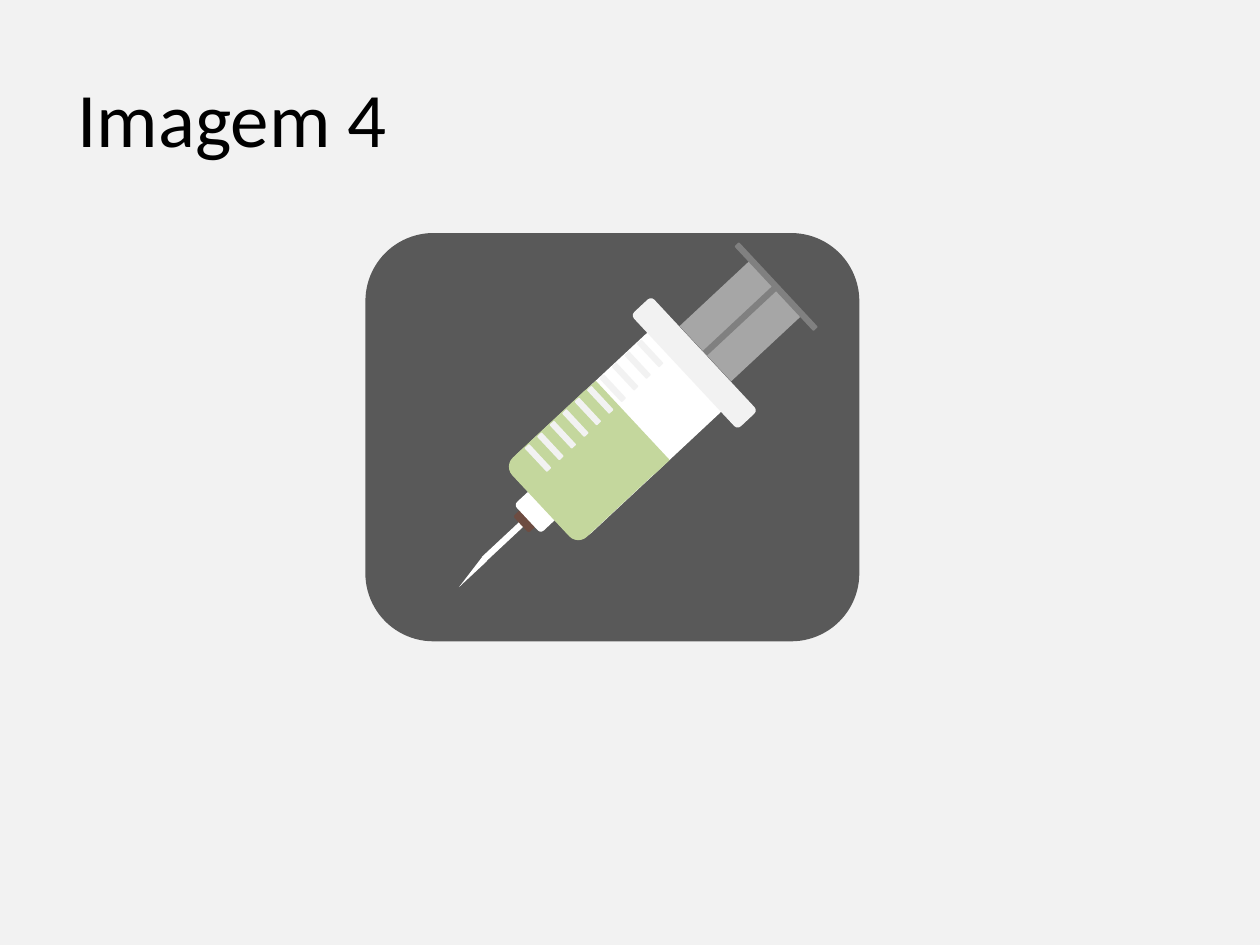
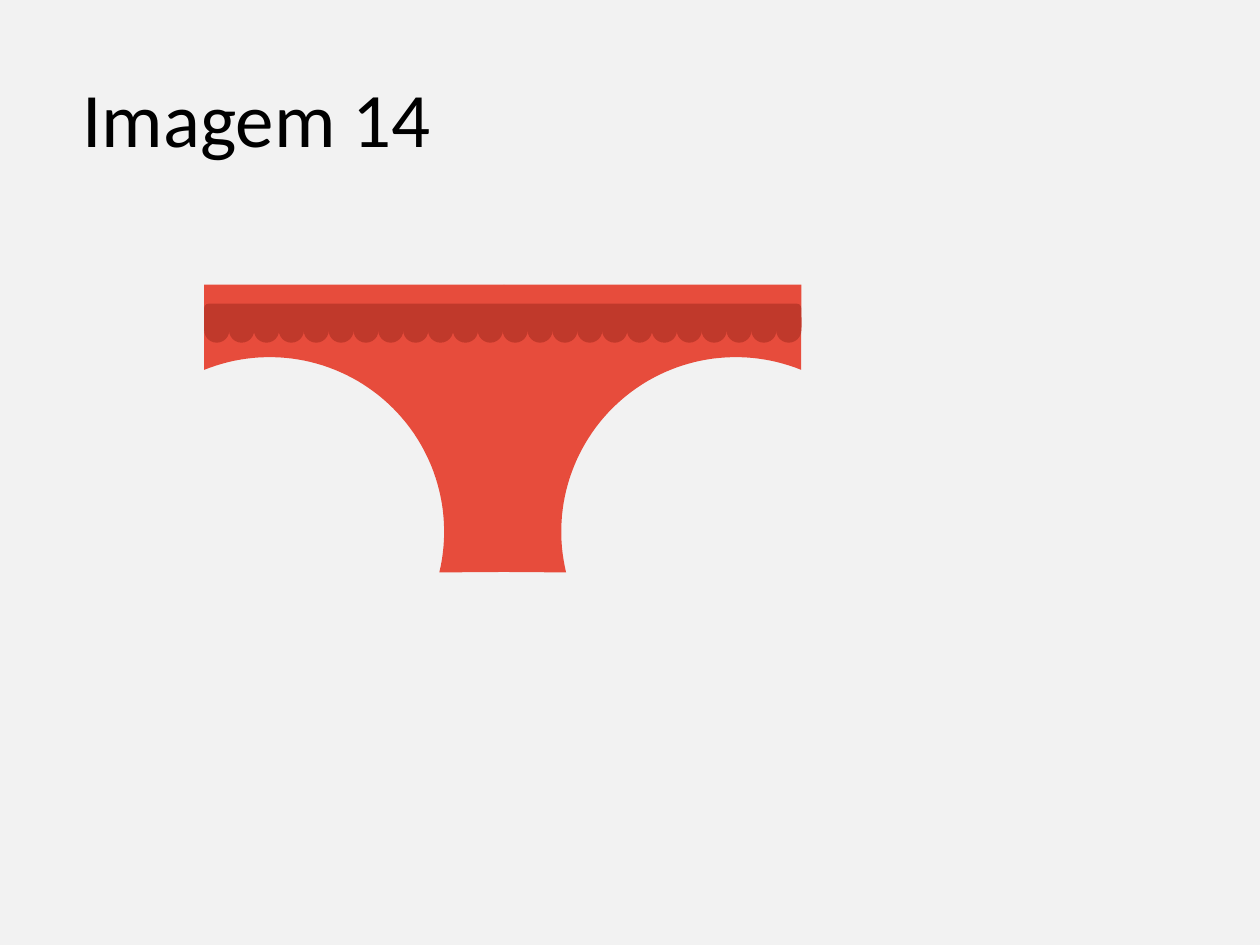
"""Build two picture slides, a syringe and a pair of briefs, from native shapes."""
from math import cos, radians, sin

from pptx import Presentation
from pptx.dml.color import RGBColor
from pptx.enum.shapes import MSO_SHAPE
from pptx.enum.text import MSO_ANCHOR, PP_ALIGN
from pptx.util import Inches, Pt

RECT = MSO_SHAPE.RECTANGLE
ROUND = MSO_SHAPE.ROUNDED_RECTANGLE
TRIANGLE = MSO_SHAPE.RIGHT_TRIANGLE
SCALLOP = MSO_SHAPE.FLOWCHART_DELAY
MIDDLE = MSO_ANCHOR.MIDDLE
CENTER = PP_ALIGN.CENTER

COLORS = {
    "paper": "F2F2F2", "ink": "000000", "panel": "595959", "white": "FFFFFF",
    "brown": "6D4C41", "liquid": "C4D79D", "plunger": "A6A6A6",
    "steel": "808080", "fabric": "E74C3C", "lace": "C0392B",
}
TILT = 47


def color(name):
    return RGBColor.from_string(COLORS[name])


def write(frame, text, *, size=44, font="Calibri", ink="ink", align=CENTER, anchor=MIDDLE):
    frame.word_wrap = True
    frame.vertical_anchor = anchor
    paragraph = frame.paragraphs[0]
    paragraph.alignment = align
    run = paragraph.add_run()
    run.text = text
    run.font.size = Pt(size)
    run.font.name = font
    run.font.color.rgb = color(ink)


class Deck:
    def __init__(self):
        self.show = Presentation()
        self.show.slide_width = Inches(10)
        self.show.slide_height = Inches(7.5)

    def start_slide(self, title, title_width):
        self.slide = self.show.slides.add_slide(self.show.slide_layouts[6])
        background = self.slide.background.fill
        background.solid()
        background.fore_color.rgb = color("paper")
        heading = self.slide.shapes.add_textbox(
            Inches(0.5), Inches(0.3), Inches(title_width), Inches(1.25))
        write(heading.text_frame, title)
        self.drawing = self.slide.shapes.add_group_shape().shapes

    def paint(self, part, fill):
        part.shadow.inherit = False
        part.fill.solid()
        part.fill.fore_color.rgb = color(fill)
        part.line.fill.background()

    def shape(self, kind, left, top, width, height, fill, turn=0, roundness=None):
        part = self.drawing.add_shape(
            kind, Inches(left), Inches(top), Inches(width), Inches(height))
        part.rotation = turn
        if roundness is not None:
            part.adjustments[0] = roundness
        self.paint(part, fill)

    def outline(self, points, fill):
        corners = [(Inches(x), Inches(y)) for x, y in points]
        builder = self.drawing.build_freeform(*corners[0])
        builder.add_line_segments(corners[1:], close=True)
        self.paint(builder.convert_to_shape(), fill)


def draw_syringe(deck):
    deck.start_slide("Imagem 4", 2.69)
    deck.shape(ROUND, 2.9, 1.85, 3.92, 3.24, "panel")
    for kind, left, top, width, height, fill, turn, roundness in (
        (RECT, 3.98, 4.06, 0.05, 0.45, "white", TILT, None),
        (ROUND, 4.08, 4.08, 0.18, 0.1, "brown", TILT, None),
        (ROUND, 4.1, 3.96, 0.31, 0.19, "white", TILT, None),
        (ROUND, 4.48, 2.6, 0.86, 1.68, "white", TILT, None),
        (RECT, 4.53, 3.31, 0.86, 0.17, "liquid", TILT, None),
        (ROUND, 4.22, 3.19, 0.86, 0.98, "liquid", TILT, 0.115),
        (ROUND, 5.58, 2.16, 0.6, 0.77, "plunger", TILT, 0),
        (ROUND, 5.7, 2.25, 0.92, 0.05, "steel", TILT, None),
        (ROUND, 5.38, 2.55, 0.92, 0.05, "steel", TILT + 90, None),
        (ROUND, 4.89, 2.77, 1.24, 0.22, "paper", TILT, None),
    ):
        deck.shape(kind, left, top, width, height, fill, turn, roundness)
    mark_count = 10
    for mark in range(mark_count):
        progress = mark / (mark_count - 1)
        deck.shape(ROUND, 5.03 - 0.89 * progress, 2.78 + 0.83 * progress,
                   0.26, 0.05, "paper", TILT)
    deck.shape(TRIANGLE, 3.71, 4.39, 0.05, 0.3, "white", TILT + 180)


def draw_briefs(deck):
    deck.start_slide("Imagem 14", 3.08)
    left, right, seam, waist, crotch = 1.62, 6.36, 4, 2.26, 4.54
    leg_x, leg_y, radius = 2.14, 4.22, 1.385
    first, last, steps = -13.5, 112, 60
    angles = [radians(first + (last - first) * step / steps) for step in range(steps + 1)]
    leg_hole = [(leg_x + radius * cos(a), leg_y - radius * sin(a)) for a in angles]
    side = [(left, waist), *reversed(leg_hole)]
    mirrored_side = [(left + right - x, y) for x, y in side]
    for edge in (side, mirrored_side):
        deck.outline([(seam, waist), *edge, (seam, crotch)], "fabric")

    deck.shape(ROUND, left, 2.41, right - left, 0.22, "lace")
    scallop_count, scallop = 24, 0.2
    pitch = (right - left - scallop) / (scallop_count - 1)
    for index in range(scallop_count):
        deck.shape(SCALLOP, left + index * pitch, 2.52, scallop, scallop, "lace", 90)


deck = Deck()
draw_syringe(deck)
draw_briefs(deck)
deck.show.save("out.pptx")
